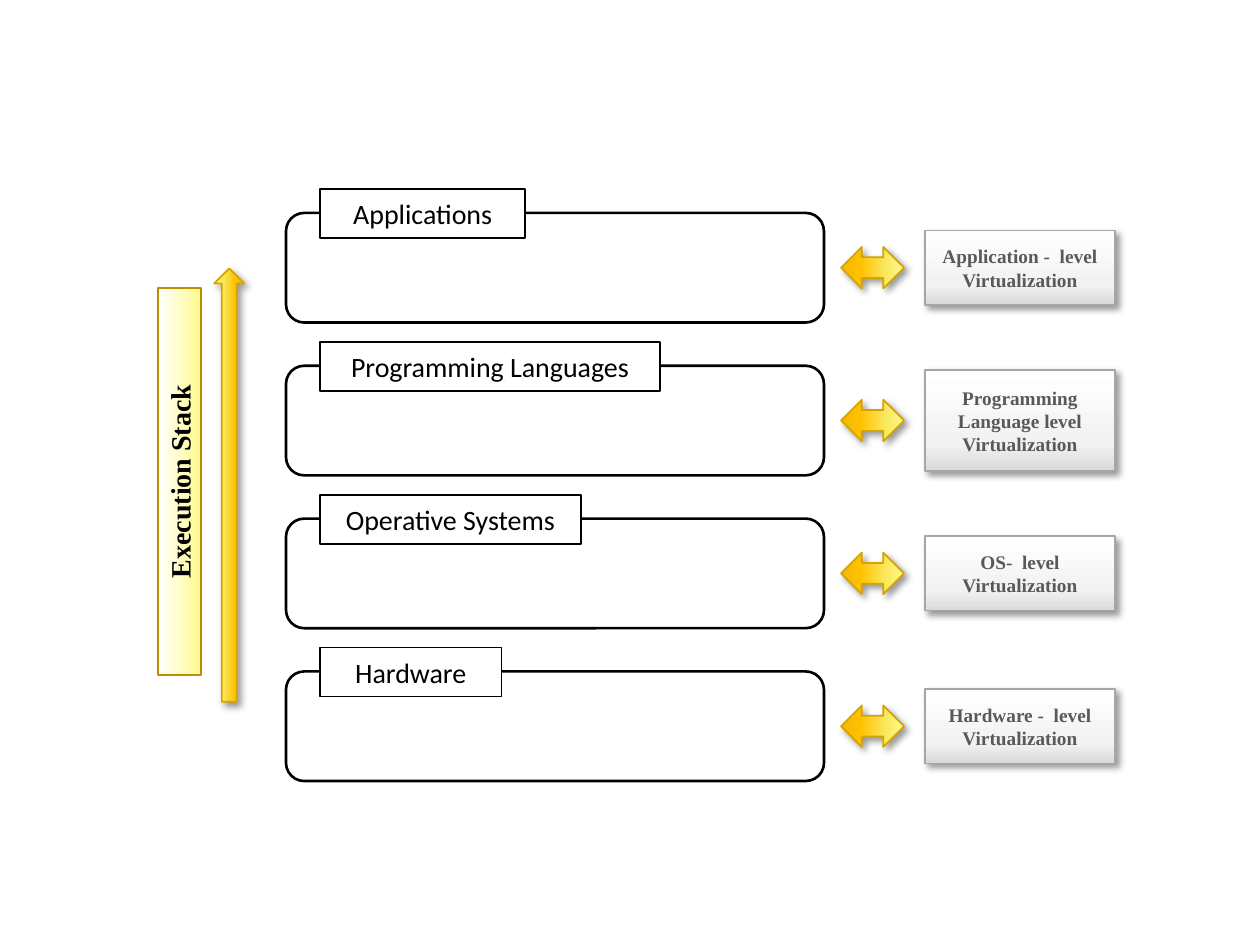
from dataclasses import dataclass
from lxml import etree
from pptx import Presentation
from pptx.dml.color import RGBColor
from pptx.enum.shapes import MSO_SHAPE as SHAPE
from pptx.enum.text import MSO_ANCHOR, PP_ALIGN
from pptx.oxml import parse_xml
from pptx.oxml.ns import nsdecls, qn
from pptx.util import Inches, Pt


@dataclass(frozen=True)
class Theme:
    white: str = "FFFFFF"
    black: str = "000000"
    gray_line: str = "A6A6A6"
    gray_text: str = "595959"
    gold_line: str = "D6A300"
    stack_line: str = "BC8F00"
    gold: tuple = ((0, "FFFA8F"), (30, "FAE75C"), (70, "FFC000"), (100, "F2B800"))
    gray: tuple = ((0, "FFFFFF"), (73, "F2F2F2"), (100, "D9D9D9"))
    pale: tuple = ((0, "FFFFFF"), (100, "FFFA8F"))
    sans: str = "Calibri"
    serif: str = "Times New Roman"
    label: int = 16
    level: int = 11


T = Theme()
LAYERS = [
    ("Applications", 1.63, "Application -  level Virtualization", 0.59),
    ("Programming Languages", 2.7, "Programming Language level Virtualization", 0.8),
    ("Operative Systems", 2.07, "OS-  level Virtualization", 0.59),
    ("Hardware", 1.44, "Hardware -  level Virtualization", 0.59),
]
LAYER_TOP, LAYER_PITCH, LAYER_H = 1.69, 1.213, 0.87


def set_gradient(sp, stops):
    sp.fill.gradient()
    sp.fill.gradient_angle = 270
    gs_list = sp._element.spPr.find(qn("a:gradFill")).find(qn("a:gsLst"))
    for gs in list(gs_list):
        gs_list.remove(gs)
    for pos, color in stops:
        gs = etree.SubElement(gs_list, qn("a:gs"), pos=str(pos * 1000))
        etree.SubElement(gs, qn("a:srgbClr"), val=color)


def add_shadow(sp):
    effects = sp._element.spPr.find(qn("a:effectLst"))
    effects.append(parse_xml(
        f'<a:outerShdw {nsdecls("a")} blurRad="{Pt(4)}" dist="{Pt(3)}" dir="2700000" '
        f'algn="tl" rotWithShape="0"><a:srgbClr val="{T.black}">'
        '<a:alpha val="40000"/></a:srgbClr></a:outerShdw>'))


def add_box(slide, kind, box, fill, line, width=1, rotation=0, shadow=False):
    sp = slide.shapes.add_shape(kind, *(Inches(v) for v in box))
    sp.rotation = rotation
    sp.shadow.inherit = False
    if isinstance(fill, str):
        sp.fill.solid()
        sp.fill.fore_color.rgb = RGBColor.from_string(fill)
    else:
        set_gradient(sp, fill)
    sp.line.color.rgb = RGBColor.from_string(line)
    sp.line.width = Pt(width)
    if shadow:
        add_shadow(sp)
    return sp


def write(sp, text, font, size, color, bold=False):
    tf = sp.text_frame
    tf.word_wrap = True
    tf.vertical_anchor = MSO_ANCHOR.MIDDLE
    p = tf.paragraphs[0]
    p.text = text
    p.alignment = PP_ALIGN.CENTER
    p.font.name = font
    p.font.size = Pt(size)
    p.font.bold = bold
    p.font.color.rgb = RGBColor.from_string(color)


def add_execution_stack(slide):
    sp = add_box(slide, SHAPE.RECTANGLE, (-0.11, 3.65, 3.07, 0.34), T.pale,
                 T.stack_line, rotation=270)
    write(sp, "Execution Stack", T.serif, T.label, T.black, bold=True)
    add_box(slide, SHAPE.RIGHT_ARROW, (0.1, 3.73, 3.44, 0.24), T.gold,
            T.gold_line, rotation=270, shadow=True)


def add_layer(slide, top, name, name_w, level, level_h):
    middle = top + LAYER_H / 2
    add_box(slide, SHAPE.ROUNDED_RECTANGLE, (2.27, top, 4.27, LAYER_H),
            T.white, T.black, width=1.5)
    label = add_box(slide, SHAPE.RECTANGLE, (2.54, top - 0.19, name_w, 0.39),
                    T.white, T.black)
    write(label, name, T.sans, T.label, T.black)
    add_box(slide, SHAPE.UP_DOWN_ARROW, (6.76, middle - 0.25, 0.33, 0.5), T.gold,
            T.gold_line, rotation=90, shadow=True)
    sp = add_box(slide, SHAPE.RECTANGLE, (7.34, middle - level_h / 2, 1.51, level_h),
                 T.gray, T.gray_line, shadow=True)
    write(sp, level, T.serif, T.level, T.gray_text, bold=True)


def main():
    prs = Presentation()
    prs.slide_width, prs.slide_height = Inches(10), Inches(7.5)
    slide = prs.slides.add_slide(prs.slide_layouts[6])
    add_box(slide, SHAPE.RECTANGLE, (1, 1.25, 8.13, 5.09), T.white, T.white, width=0)
    add_execution_stack(slide)
    for i, layer in enumerate(LAYERS):
        add_layer(slide, LAYER_TOP + i * LAYER_PITCH, *layer)
    prs.save("out.pptx")


if __name__ == "__main__":
    main()
